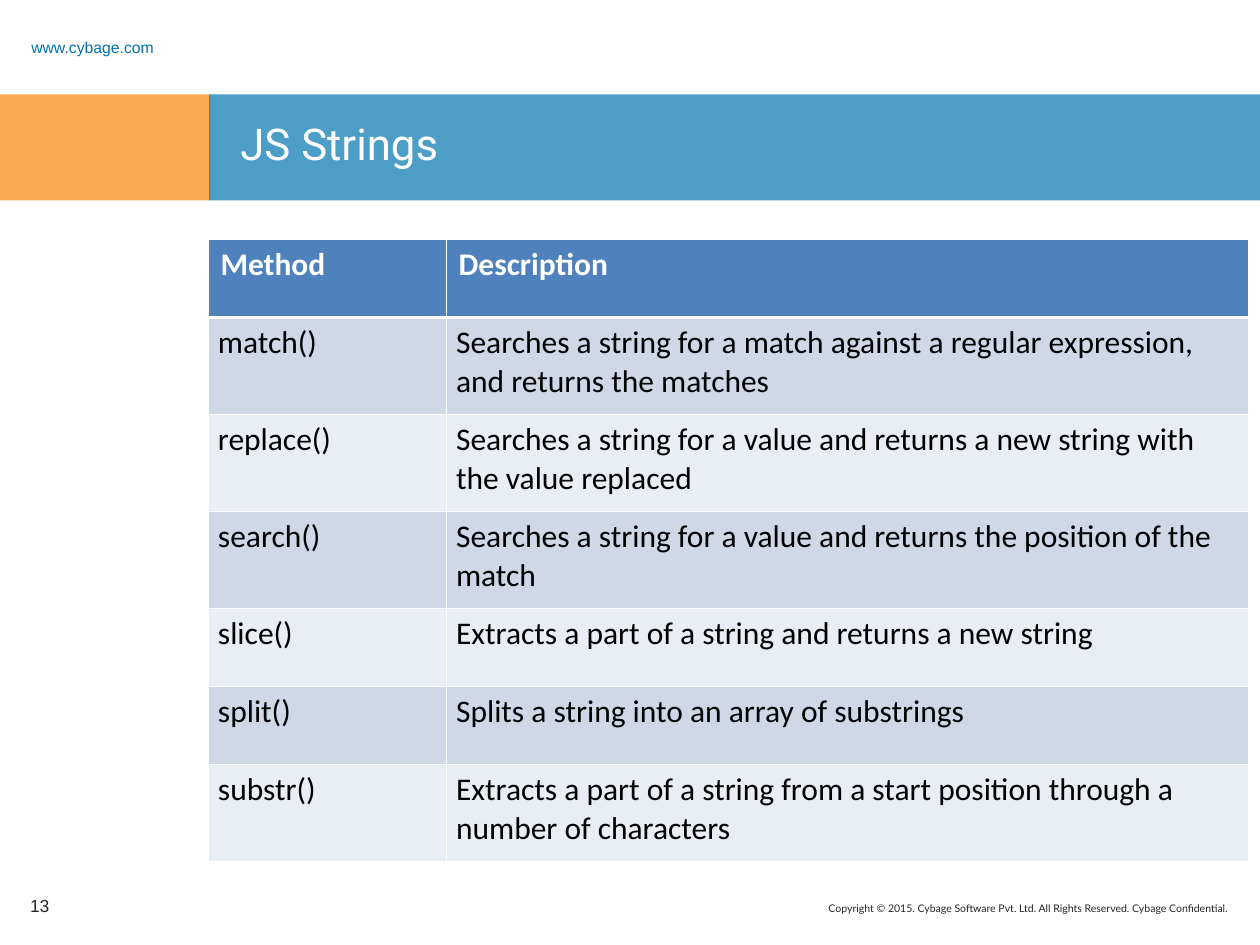
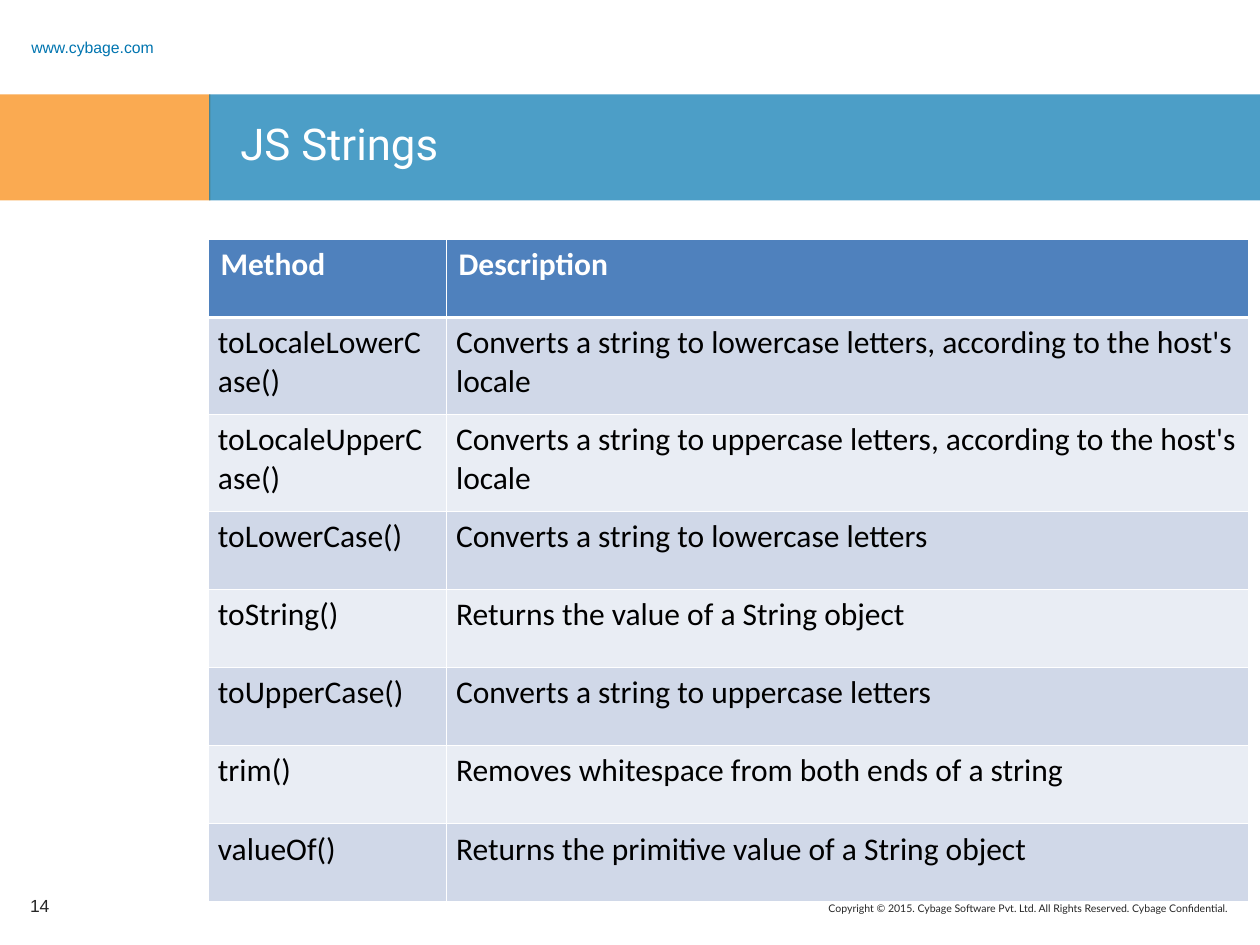
from lxml.etree import SubElement
from pptx import Presentation
from pptx.dml.color import RGBColor
from pptx.enum.shapes import MSO_SHAPE
from pptx.enum.text import MSO_ANCHOR, PP_ALIGN
from pptx.oxml.ns import qn
from pptx.util import Inches, Pt

TITLE = "JS Strings"
SITE = "www.cybage.com"
RIGHTS = "Copyright © 2015. Cybage Software Pvt. Ltd. All Rights Reserved. Cybage Confidential."
HEAD = ("Method", "Description")
PAGES = {
    13: [
        ("match()", "Searches a string for a match against a regular expression, and returns the matches"),
        ("replace()", "Searches a string for a value and returns a new string with the value replaced"),
        ("search()", "Searches a string for a value and returns the position of the match"),
        ("slice()", "Extracts a part of a string and returns a new string"),
        ("split()", "Splits a string into an array of substrings"),
        ("substr()", "Extracts a part of a string from a start position through a number of characters"),
    ],
    14: [
        ("toLocaleLowerCase()", "Converts a string to lowercase letters, according to the host's locale"),
        ("toLocaleUpperCase()", "Converts a string to uppercase letters, according to the host's locale"),
        ("toLowerCase()", "Converts a string to lowercase letters"),
        ("toString()", "Returns the value of a String object"),
        ("toUpperCase()", "Converts a string to uppercase letters"),
        ("trim()", "Removes whitespace from both ends of a string"),
        ("valueOf()", "Returns the primitive value of a String object"),
    ],
}
COLORS = {
    "white": "FFFFFF", "black": "000000", "gray": "262626",
    "orange": "F88608", "blue": "0075B0",
    "head": "4F81BD", "odd": "D0D8E8", "even": "E9EDF4",
}
BANDS = [("orange", 0, 1.67), ("blue", 1.66, 8.34)]
COLS = (1.89, 6.37)
LOW, HIGH = 0.62, 0.77
LINE_CHARS = 60
THIN, THICK = 0.45, 1.47


def rgb(name):
    return RGBColor.from_string(COLORS[name])


def write(frame, text, size=18, font="Calibri", color="black", bold=False,
          align=PP_ALIGN.LEFT, spacing=None):
    frame.word_wrap = True
    para = frame.paragraphs[0]
    para.alignment = align
    para.line_spacing = spacing
    run = para.add_run()
    run.text = text
    run.font.size = Pt(size)
    run.font.name = font
    run.font.bold = bold
    run.font.color.rgb = rgb(color)


def add_text(slide, text, box, anchor=MSO_ANCHOR.TOP, **style):
    frame = slide.shapes.add_textbox(*map(Inches, box)).text_frame
    frame.vertical_anchor = anchor
    write(frame, text, **style)


def add_band(slide, color, left, width):
    band = slide.shapes.add_shape(
        MSO_SHAPE.RECTANGLE, Inches(left), Inches(0.75), Inches(width), Inches(0.84))
    band.shadow.inherit = False
    band.fill.solid()
    band.fill.fore_color.rgb = rgb(color)
    band.line.fill.background()
    SubElement(band.element.find(".//" + qn("a:srgbClr")), qn("a:alpha"), val="70000")


def add_frame(slide, number):
    add_text(slide, RIGHTS, (4.08, 7.11, 5.76, 0.26), size=6, font="Lato",
             color="gray", align=PP_ALIGN.RIGHT)
    for band in BANDS:
        add_band(slide, *band)
    add_text(slide, SITE, (0.15, 0.24, 1.5, 0.19), MSO_ANCHOR.MIDDLE,
             size=9, font="Arial", color="blue", spacing=1.5)
    add_text(slide, TITLE, (1.81, 0.88, 7.94, 0.62), size=25, font="Roboto", color="white")
    add_text(slide, str(number), (0.14, 6.99, 0.54, 0.4), MSO_ANCHOR.MIDDLE,
             size=10, font="Arial", color="gray")


def set_edges(cell, row):
    props = cell._tc.get_or_add_tcPr()
    for side in "LRTB":
        thick = (row, side) in ((0, "B"), (1, "T"))
        line = SubElement(props, qn("a:ln" + side), w=str(Pt(THICK if thick else THIN)))
        fill = SubElement(line, qn("a:solidFill"))
        SubElement(fill, qn("a:srgbClr"), val=COLORS["white"])


def add_grid(slide, methods):
    rows = [HEAD] + methods
    highs = [HIGH if len(about) > LINE_CHARS else LOW for _, about in rows]
    grid = slide.shapes.add_table(
        len(rows), len(COLS), Inches(1.65), Inches(1.9),
        Inches(sum(COLS)), Inches(sum(highs))).table
    grid.first_row = grid.horz_banding = False
    for col, width in zip(grid.columns, COLS):
        col.width = Inches(width)
    for r, texts in enumerate(rows):
        grid.rows[r].height = Inches(highs[r])
        head = r == 0
        for c, text in enumerate(texts):
            cell = grid.cell(r, c)
            cell.margin_left = cell.margin_right = Inches(0.1 if head else 0.08)
            cell.margin_top = cell.margin_bottom = Inches(0.05)
            set_edges(cell, r)
            cell.fill.solid()
            cell.fill.fore_color.rgb = rgb("head" if head else "odd" if r % 2 else "even")
            write(cell.text_frame, text, color="white" if head else "black", bold=head)


def main():
    deck = Presentation()
    deck.slide_width, deck.slide_height = Inches(10), Inches(7.5)
    for number, methods in PAGES.items():
        slide = deck.slides.add_slide(deck.slide_layouts[6])
        add_frame(slide, number)
        add_grid(slide, methods)
    deck.save("out.pptx")


if __name__ == "__main__":
    main()
